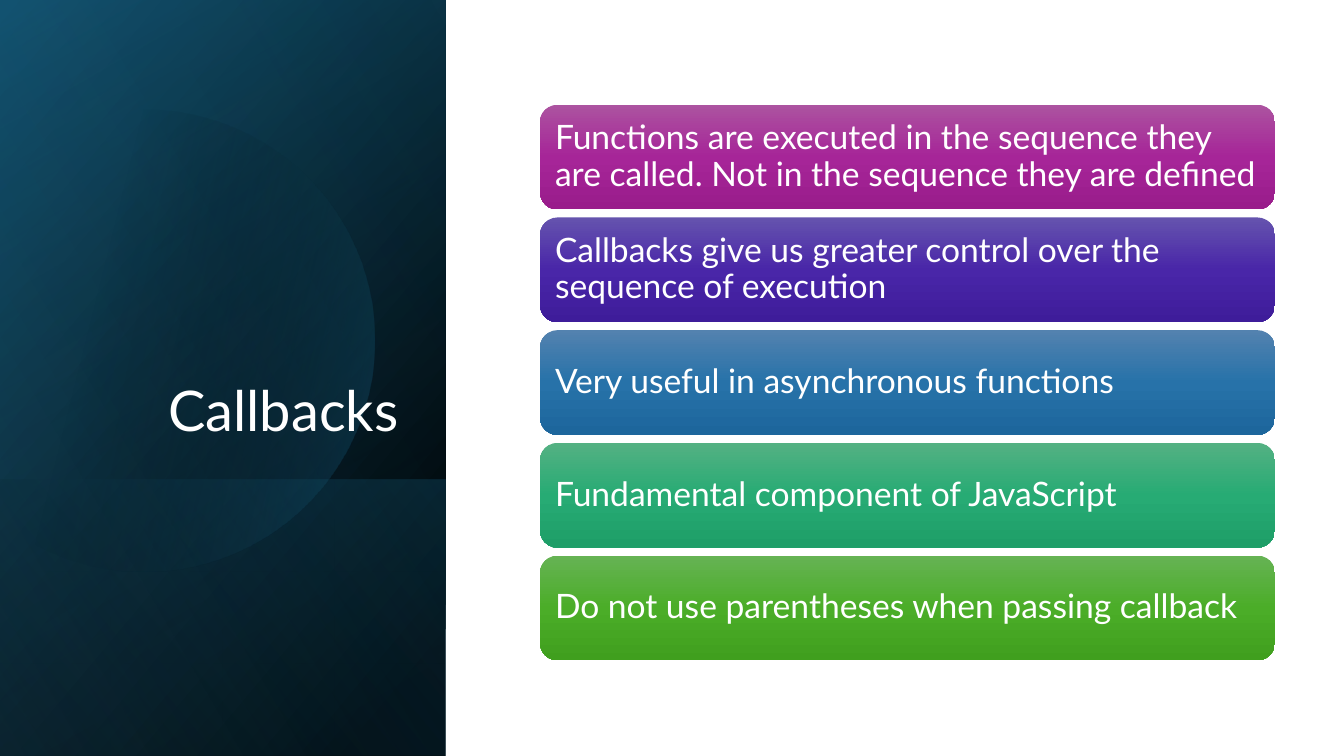
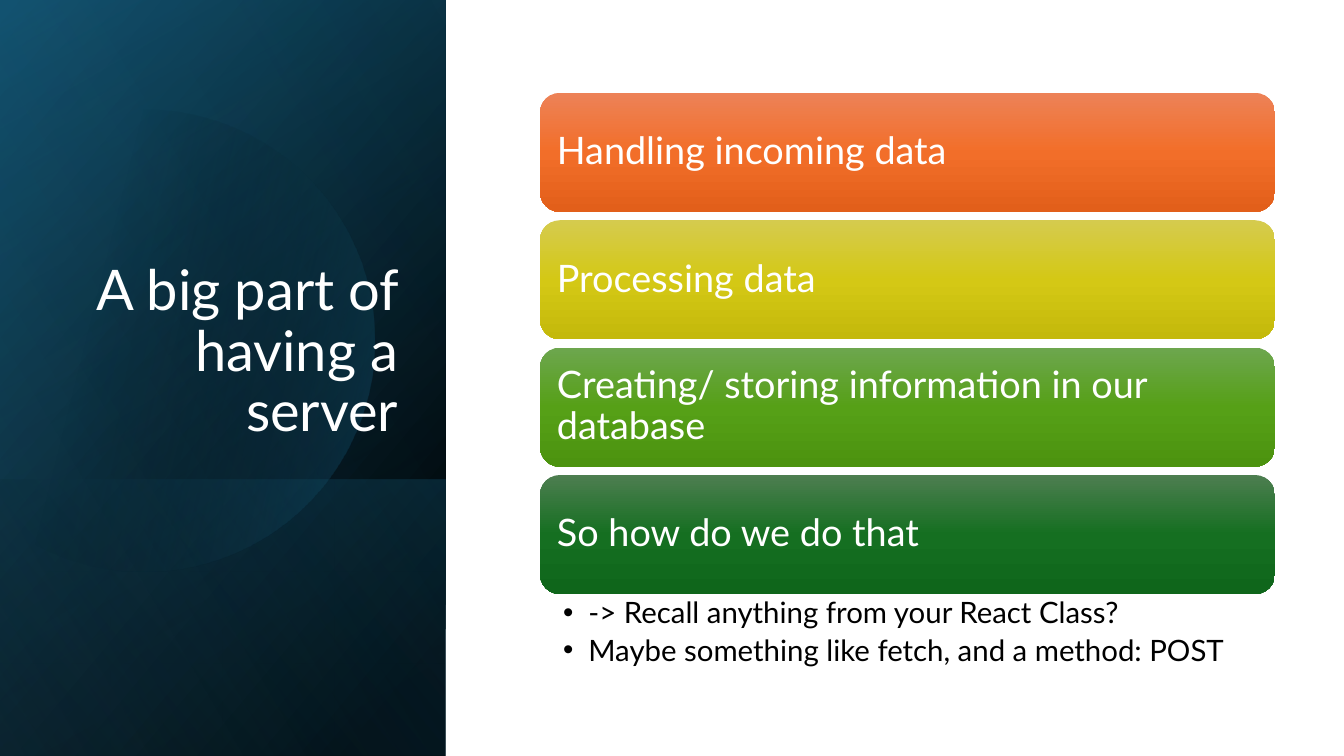
"""Build two slides with a dark gradient title panel and a stack of coloured cards."""
import math

import lxml.etree
import pptx
import pptx.dml.color
import pptx.enum.shapes
import pptx.enum.text
import pptx.oxml.ns
import pptx.util

Cm = pptx.util.Cm
Pt = pptx.util.Pt
qn = pptx.oxml.ns.qn
ALIGN = pptx.enum.text.PP_ALIGN
ANCHOR = pptx.enum.text.MSO_ANCHOR
SHAPE = pptx.enum.shapes.MSO_SHAPE

FONT = "Lato"
WHITE, BLACK = "FFFFFF", "000000"
NAVY, TEAL, SKY = "104862", "156082", "46B1E1"

SLIDE_WIDTH, SLIDE_HEIGHT = 33.87, 19.05
PANEL_WIDTH = 11.23
LOWER_TOP = 12.09
CIRCLE_X, CIRCLE_Y, CIRCLE_RADIUS = 3.63, 8.59, 5.82
TITLE_BOX = (1.63, 4.67, 8.66, 6.65)
CARD_LEFT, CARD_WIDTH = 13.61, 18.52

BASE_LAYERS = [
    (0, [(8, BLACK, 100), (100, NAVY, 100)], 50),
    (0, [(0, BLACK, 0), (99, TEAL, 46)], 30),
    (LOWER_TOP, [(2, TEAL, 29), (100, BLACK, 30)], 130),
]
CIRCLE_STOPS = [(29, BLACK, 0), (100, TEAL, 43)]
GLOW_LAYER = (0, [(0, BLACK, 0), (99, SKY, 11)], 120)

SLIDES = [
    {
        "title": "Callbacks",
        "top": 2.64, "height": 2.64, "gap": 0.2, "size": 24, "inset": 0.25,
        "cards": [
            ("Functions are executed in the sequence they are called. "
             "Not in the sequence they are defined", ("AC53A0", "A62598", "991C8B")),
            ("Callbacks give us greater control over the sequence of execution",
             ("6553AE", "4926A8", "3E1C9A")),
            ("Very useful in asynchronous functions", ("5382AF", "2772A9", "1D669C")),
            ("Fundamental component of JavaScript", ("54B183", "27AB74", "1E9E68")),
            ("Do not use parentheses when passing callback", ("66B354", "4BAD28", "409F1E")),
        ],
        "bullets": [],
    },
    {
        "title": "A big part of having a server",
        "top": 2.34, "height": 3, "gap": 0.21, "size": 27, "inset": 0.28,
        "cards": [
            ("Handling incoming data", ("ED8257", "F26E29", "E25F1A")),
            ("Processing data", ("D5CB4E", "D4C815", "C4B90B")),
            ("Creating/ storing information in our database", ("6DA64E", "56A017", "4C930F")),
            ("So how do we do that", ("4D7E50", "156F21", "0F661B")),
        ],
        "bullets": [
            "-> Recall anything from your React Class?",
            "Maybe something like fetch, and a method: POST",
        ],
    },
]


def color(value):
    """Turn a hex string into a colour."""
    return pptx.dml.color.RGBColor.from_string(value)


def lengths(*values):
    """Turn centimetre numbers into lengths."""
    return [Cm(value) for value in values]


def paint(shape, stops, angle):
    """Fill a shape with gradient stops of position, colour and opacity, without a line."""
    shape.shadow.inherit = False
    shape.fill.background()
    properties = shape._element.spPr
    gradient = lxml.etree.Element(qn("a:gradFill"), rotWithShape="1")
    stop_list = lxml.etree.SubElement(gradient, qn("a:gsLst"))
    for position, value, opacity in stops:
        stop = lxml.etree.SubElement(stop_list, qn("a:gs"), pos=str(position * 1000))
        tint = lxml.etree.SubElement(stop, qn("a:srgbClr"), val=value)
        if opacity < 100:
            lxml.etree.SubElement(tint, qn("a:alpha"), val=str(opacity * 1000))
    lxml.etree.SubElement(gradient, qn("a:lin"), ang=str(angle * 60000), scaled="0")
    properties.replace(properties.find(qn("a:noFill")), gradient)
    shape.line.fill.background()


def write(shape, lines, size, ink=WHITE, align=ALIGN.LEFT, anchor=ANCHOR.MIDDLE,
          insets=(0.25, 0.13, 0.25, 0.13), bullet=None, space_after=0):
    """Write lines of text into a shape."""
    frame = shape.text_frame
    frame.word_wrap = True
    frame.vertical_anchor = anchor
    (frame.margin_left, frame.margin_top,
     frame.margin_right, frame.margin_bottom) = lengths(*insets)
    for index, line in enumerate(lines):
        paragraph = frame.paragraphs[0] if index == 0 else frame.add_paragraph()
        paragraph.alignment = align
        paragraph.line_spacing = 0.9
        paragraph.space_after = Pt(space_after)
        run = paragraph.add_run()
        run.text = line
        run.font.name = FONT
        run.font.size = Pt(size)
        run.font.color.rgb = color(ink)
        if bullet:
            properties = paragraph._p.get_or_add_pPr()
            properties.set("marL", str(Cm(0.64)))
            properties.set("indent", str(-Cm(0.64)))
            lxml.etree.SubElement(properties, qn("a:buFont"), typeface="Arial")
            lxml.etree.SubElement(properties, qn("a:buChar"), char=bullet)


def add_layer(slide, top, stops, angle):
    """Add a turned, mirrored panel layer from top down to the slide's bottom edge."""
    height = SLIDE_HEIGHT - top
    left = (PANEL_WIDTH - height) / 2
    turned_top = top + (height - PANEL_WIDTH) / 2
    layer = slide.shapes.add_shape(
        SHAPE.RECTANGLE, *lengths(left, turned_top, height, PANEL_WIDTH))
    layer.rotation = 90
    layer._element.spPr.xfrm.set("flipH", "1")
    paint(layer, stops, angle)


def add_circle(slide):
    """Add the circle that the slide's left edge cuts off."""
    reach = math.acos(-CIRCLE_X / CIRCLE_RADIUS)
    steps = 90
    angles = [reach * (2 * step / steps - 1) for step in range(steps + 1)]
    points = [lengths(CIRCLE_X + CIRCLE_RADIUS * math.cos(angle),
                      CIRCLE_Y + CIRCLE_RADIUS * math.sin(angle)) for angle in angles]
    builder = slide.shapes.build_freeform(*points[0])
    builder.add_line_segments(points[1:], close=True)
    paint(builder.convert_to_shape(), CIRCLE_STOPS, 14)


def add_panel(slide, title):
    """Add the dark panel and its title."""
    for layer in BASE_LAYERS:
        add_layer(slide, *layer)
    add_circle(slide)
    add_layer(slide, *GLOW_LAYER)
    write(slide.shapes.add_textbox(*lengths(*TITLE_BOX)), [title], 40,
          align=ALIGN.RIGHT, anchor=ANCHOR.BOTTOM)


def add_cards(slide, content):
    """Stack the cards and put any bullets below them."""
    top = content["top"]
    for text, shades in content["cards"]:
        card = slide.shapes.add_shape(
            SHAPE.ROUNDED_RECTANGLE, *lengths(CARD_LEFT, top, CARD_WIDTH, content["height"]))
        paint(card, [(50 * index, shade, 100) for index, shade in enumerate(shades)], 90)
        write(card, [text], content["size"], insets=[content["inset"]] * 4)
        top += content["height"] + content["gap"]
    if content["bullets"]:
        box = slide.shapes.add_textbox(
            *lengths(CARD_LEFT, top - content["gap"], CARD_WIDTH, 2))
        write(box, content["bullets"], 21, ink=BLACK, anchor=ANCHOR.TOP,
              insets=(0.58, 0.1, 0.53, 0.1), bullet="•", space_after=4.2)


def main():
    """Build and save the presentation."""
    presentation = pptx.Presentation()
    presentation.slide_width, presentation.slide_height = lengths(SLIDE_WIDTH, SLIDE_HEIGHT)
    for content in SLIDES:
        slide = presentation.slides.add_slide(presentation.slide_layouts[6])
        add_panel(slide, content["title"])
        add_cards(slide, content)
    presentation.save("out.pptx")


if __name__ == "__main__":
    main()
